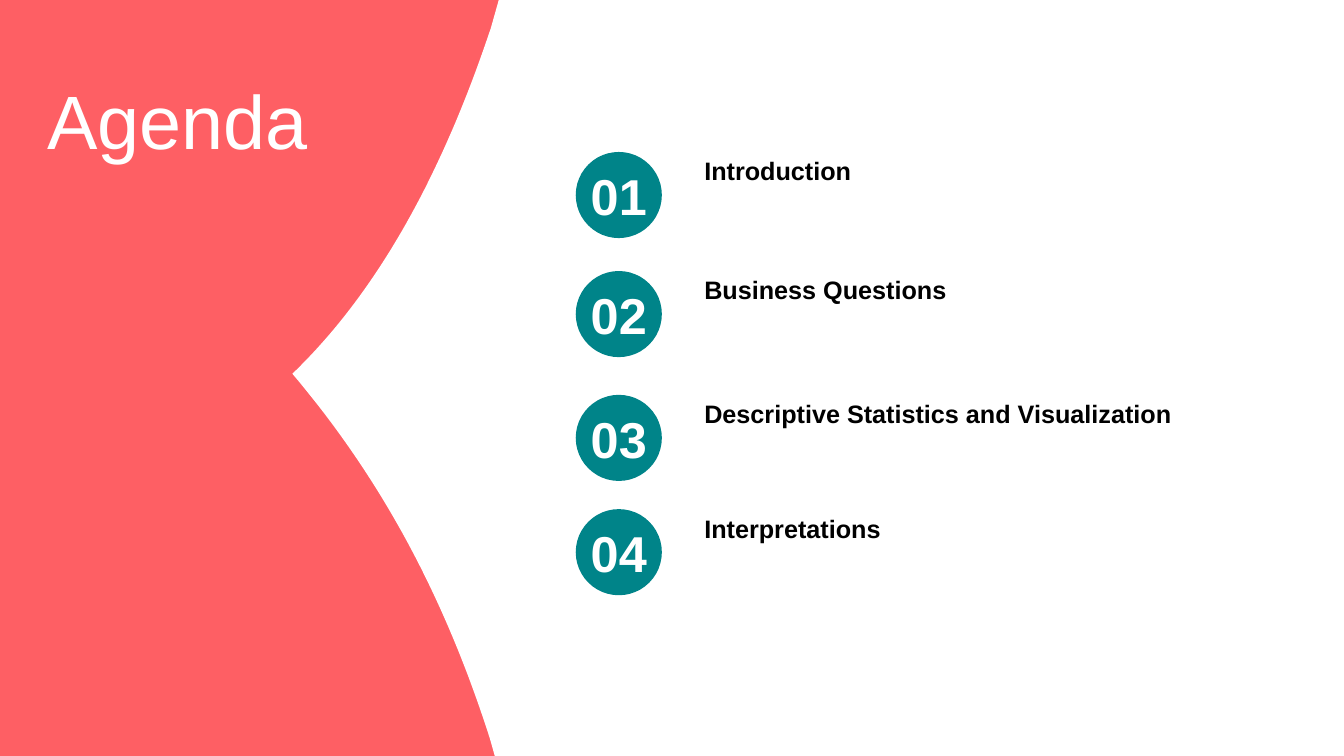
from dataclasses import dataclass

import pptx
import pptx.dml.color
import pptx.enum.shapes
import pptx.enum.text
import pptx.util

Cm = pptx.util.Cm
Pt = pptx.util.Pt
RGB = pptx.dml.color.RGBColor


@dataclass(frozen=True)
class Theme:
    coral: RGB = RGB.from_string("FE5F64")
    teal: RGB = RGB.from_string("008489")
    white: RGB = RGB.from_string("FFFFFF")
    black: RGB = RGB.from_string("000000")
    font: str = "Arial"
    title_size: Pt = Pt(54)
    number_size: Pt = Pt(36)
    topic_size: Pt = Pt(18)


theme = Theme()


def write(frame, text, size, color, bold, align):
    frame.text = text
    paragraph = frame.paragraphs[0]
    paragraph.alignment = align
    paragraph.font.name = theme.font
    paragraph.font.size = size
    paragraph.font.bold = bold
    paragraph.font.color.rgb = color


def curve_points(start, control_1, control_2, end, steps=40):
    """Return points along a cubic Bézier curve, both ends included."""
    points = []
    for step in range(steps + 1):
        t = step / steps
        weights = ((1 - t) ** 3, 3 * t * (1 - t) ** 2, 3 * t**2 * (1 - t), t**3)
        corners = (start, control_1, control_2, end)
        points.append(tuple(sum(w * c[axis] for w, c in zip(weights, corners)) for axis in (0, 1)))
    return points


LEFT = pptx.enum.text.PP_ALIGN.LEFT
CENTER = pptx.enum.text.PP_ALIGN.CENTER
MIDDLE = pptx.enum.text.MSO_ANCHOR.MIDDLE
SLIDE_WIDTH, SLIDE_HEIGHT = 33.87, 19.05

presentation = pptx.Presentation()
presentation.slide_width = Cm(SLIDE_WIDTH)
presentation.slide_height = Cm(SLIDE_HEIGHT)
slide = presentation.slides.add_slide(presentation.slide_layouts[5])
slide.background.fill.solid()
slide.background.fill.fore_color.rgb = theme.coral

# White panel with a pointed, curved left edge
tip = (7.37, 9.42)
outline = [
    (12.57, 0),
    (SLIDE_WIDTH, 0),
    (SLIDE_WIDTH, SLIDE_HEIGHT),
    (12.47, SLIDE_HEIGHT),
    *curve_points((12.34, 18.59), (11.2, 15.04), (9.63, 12.09), tip),
    *curve_points(tip, (9.53, 7.34), (11.15, 4.37), (12.37, 0.71)),
]
outline = [(Cm(x), Cm(y)) for x, y in outline]
builder = slide.shapes.build_freeform(*outline[0])
builder.add_line_segments(outline[1:], close=True)
panel = builder.convert_to_shape()
panel.shadow.inherit = False
panel.fill.solid()
panel.fill.fore_color.rgb = theme.white
panel.line.fill.background()

# Title
title = slide.shapes.title
title.left, title.top, title.width, title.height = Cm(0.94), Cm(1.73), Cm(9.7), Cm(2.57)
title.text_frame.auto_size = pptx.enum.text.MSO_AUTO_SIZE.NONE
title.text_frame.vertical_anchor = MIDDLE
write(title.text_frame, "Agenda", theme.title_size, theme.white, False, LEFT)

# Agenda rows: a numbered circle and its topic
CIRCLE = 2.17
agenda = [
    (3.83, "Introduction"),
    (6.83, "Business Questions"),
    (9.95, "Descriptive Statistics and Visualization"),
    (12.83, "Interpretations"),
]
for number, (top, topic) in enumerate(agenda, start=1):
    row = slide.shapes.add_group_shape()

    label = row.shapes.add_textbox(Cm(17.45), Cm(top - 0.03), Cm(14.22), Cm(1.02))
    label.text_frame.word_wrap = True
    label.text_frame.margin_left = label.text_frame.margin_right = Cm(0.3)
    write(label.text_frame, topic, theme.topic_size, theme.black, True, LEFT)

    circle = row.shapes.add_shape(
        pptx.enum.shapes.MSO_SHAPE.OVAL, Cm(14.51), Cm(top), Cm(CIRCLE), Cm(CIRCLE)
    )
    circle.shadow.inherit = False
    circle.fill.solid()
    circle.fill.fore_color.rgb = theme.teal
    circle.line.fill.background()
    frame = circle.text_frame
    frame.word_wrap = False
    frame.vertical_anchor = MIDDLE
    frame.margin_left = frame.margin_right = frame.margin_top = frame.margin_bottom = 0
    write(frame, f"{number:02d}", theme.number_size, theme.white, True, CENTER)

presentation.save("out.pptx")
